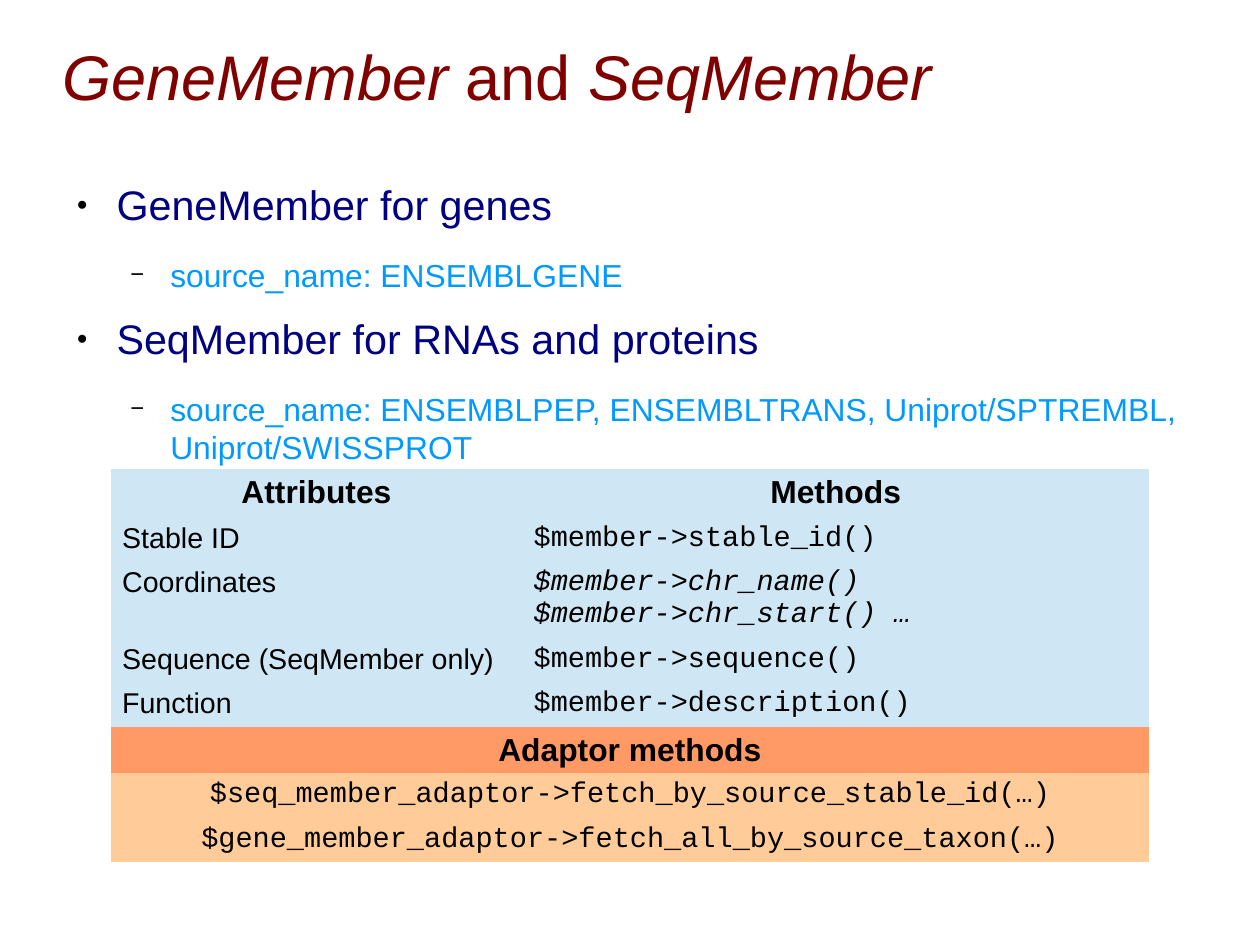
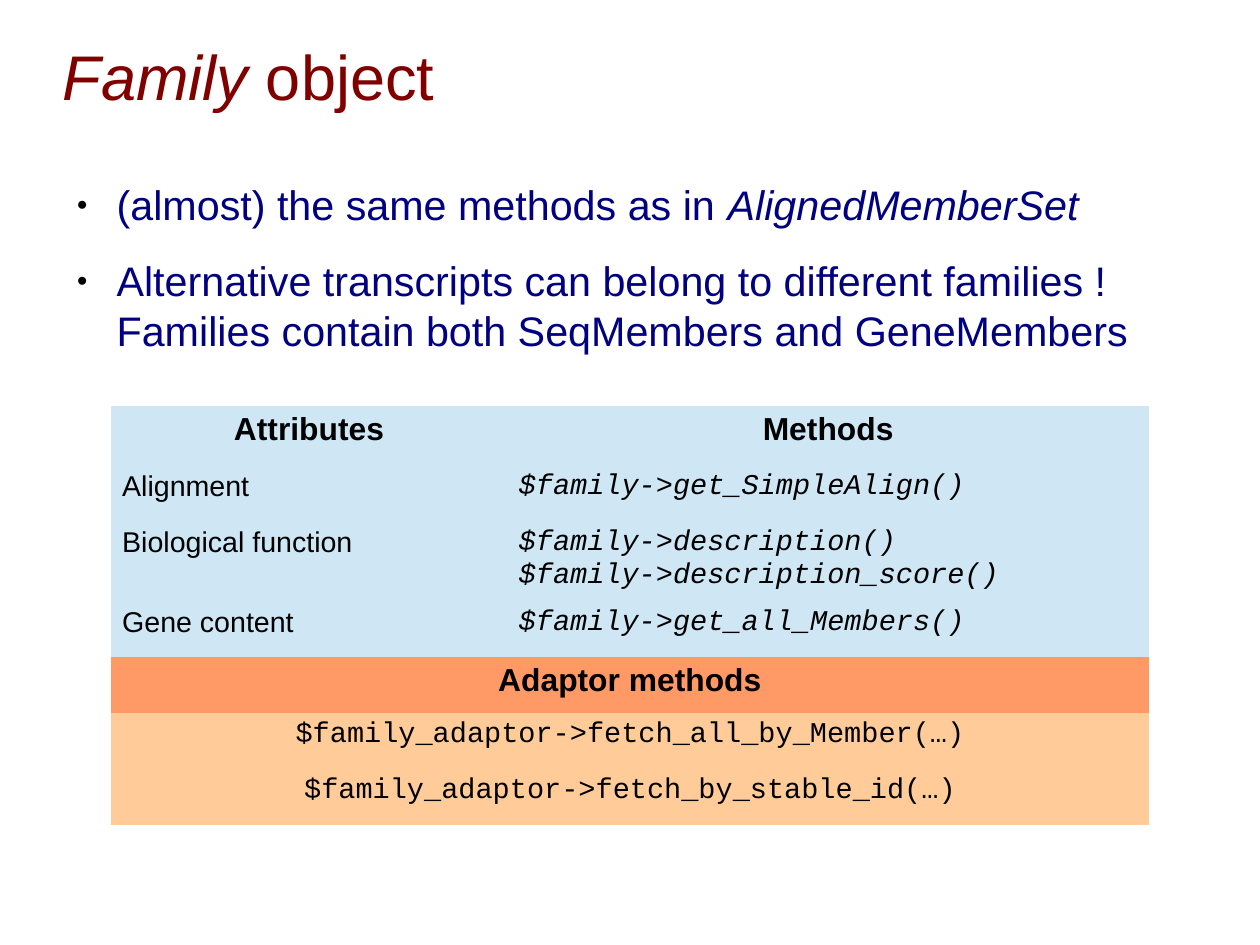
"""Build two slides on the member and family objects, each with bullets and a method table."""
from dataclasses import dataclass

from lxml import etree
from pptx import Presentation
from pptx.dml.color import RGBColor
from pptx.enum.text import MSO_ANCHOR, PP_ALIGN
from pptx.oxml.ns import qn
from pptx.util import Pt

TOP = MSO_ANCHOR.TOP
LEFT, CENTER = PP_ALIGN.LEFT, PP_ALIGN.CENTER

BLACK = RGBColor(0x00, 0x00, 0x00)
MAROON = RGBColor(0x80, 0x00, 0x00)
NAVY = RGBColor(0x00, 0x00, 0x80)
SKY = RGBColor(0x00, 0x99, 0xFF)
PALE_BLUE = RGBColor(0xCF, 0xE7, 0xF5)
ORANGE = RGBColor(0xFF, 0x99, 0x66)
PEACH = RGBColor(0xFF, 0xCC, 0x99)

SANS, MONO = "Arial", "Courier New"
MARGIN = 39.6
TABLE_LEFT = 69.8
NO_STYLE = "{2D5ABB26-0587-4C30-8999-92F81FD0307C}"


@dataclass(frozen=True)
class Span:
    text: str
    italic: bool = False


@dataclass(frozen=True)
class Level:
    size: float
    color: RGBColor
    indent: float
    after: float
    bullet: str
    bullet_pct: int


@dataclass(frozen=True)
class Bullet:
    level: Level
    spans: list[Span]


@dataclass(frozen=True)
class Method:
    attribute: str
    calls: list[Span]


@dataclass(frozen=True)
class MethodTable:
    top: float
    cols: list[float]
    heights: list[float]
    methods: list[Method]
    adaptors: list[str]


@dataclass(frozen=True)
class Topic:
    title: list[Span]
    body_size: tuple[float, float]
    bullets: list[Bullet]
    methods: MethodTable


MAIN = Level(26, NAVY, 33.84, 16.7, "●", 45)
SUB = Level(20, SKY, 67.68, 12.5, "−", 75)
HANGING = 25.2

TOPICS = [
    Topic(
        [Span("GeneMember", True), Span(" and "), Span("SeqMember", True)],
        (753.8, 187.2),
        [
            Bullet(MAIN, [Span("GeneMember for genes")]),
            Bullet(SUB, [Span("source_name: ENSEMBLGENE")]),
            Bullet(MAIN, [Span("SeqMember for RNAs and proteins")]),
            Bullet(SUB, [Span("source_name: ENSEMBLPEP, ENSEMBLTRANS, "
                              "Uniprot/SPTREMBL, Uniprot/SWISSPROT")]),
        ],
        MethodTable(
            295.4, [259.2, 394.9], [30, 28, 48.4, 28, 28, 29.2, 28.2, 28.2],
            [
                Method("Stable ID", [Span("$member->stable_id()")]),
                Method("Coordinates", [Span("$member->chr_name()", True),
                                       Span("$member->chr_start() …", True)]),
                Method("Sequence (SeqMember only)", [Span("$member->sequence()")]),
                Method("Function", [Span("$member->description()")]),
            ],
            ["$seq_member_adaptor->fetch_by_source_stable_id(…)",
             "$gene_member_adaptor->fetch_all_by_source_taxon(…)"],
        ),
    ),
    Topic(
        [Span("Family", True), Span(" object")],
        (725.8, 348.5),
        [
            Bullet(MAIN, [Span("(almost) the same methods as in "),
                          Span("AlignedMemberSet", True)]),
            Bullet(MAIN, [Span("Alternative transcripts can belong to different families !\n"
                               "Families contain both SeqMembers and GeneMembers")]),
        ],
        MethodTable(
            255.6, [249.8, 404.3], [37.4, 35.3, 50.4, 35.3, 35.3, 35.3, 35.3],
            [
                Method("Alignment", [Span("$family->get_SimpleAlign()", True)]),
                Method("Biological function", [Span("$family->description()", True),
                                               Span("$family->description_score()", True)]),
                Method("Gene content", [Span("$family->get_all_Members()", True)]),
            ],
            ["$family_adaptor->fetch_all_by_Member(…)",
             "$family_adaptor->fetch_by_stable_id(…)"],
        ),
    ),
]


def add_span(p, span: Span, size: float, color: RGBColor,
             font: str = SANS, bold: bool = False) -> None:
    for i, line in enumerate(span.text.split("\n")):
        if i:
            p.add_line_break()
        r = p.add_run()
        r.text = line
        r.font.name = font
        r.font.size = Pt(size)
        r.font.color.rgb = color
        r.font.italic = span.italic
        r.font.bold = bold


def add_box(s, top: float, width: float, height: float):
    tf = s.shapes.add_textbox(Pt(MARGIN), Pt(top), Pt(width), Pt(height)).text_frame
    tf.word_wrap = True
    tf.vertical_anchor = TOP
    tf.margin_left = tf.margin_right = tf.margin_top = tf.margin_bottom = 0
    return tf


def add_title(s, spans: list[Span]) -> None:
    p = add_box(s, 23.6, 714.2, 99.4).paragraphs[0]
    for span in spans:
        add_span(p, span, 39.7, MAROON)


def format_bullet(p, level: Level) -> None:
    p.space_after = Pt(level.after)
    pPr = p._p.get_or_add_pPr()
    pPr.set("marL", str(Pt(level.indent)))
    pPr.set("indent", str(-Pt(HANGING)))
    color = etree.SubElement(pPr, qn("a:buClr"))
    etree.SubElement(color, qn("a:srgbClr"), val=str(BLACK))
    etree.SubElement(pPr, qn("a:buSzPct"), val=str(level.bullet_pct * 1000))
    etree.SubElement(pPr, qn("a:buFont"), typeface=SANS)
    etree.SubElement(pPr, qn("a:buChar"), char=level.bullet)


def add_body(s, topic: Topic) -> None:
    tf = add_box(s, 113, *topic.body_size)
    for i, bullet in enumerate(topic.bullets):
        p = tf.add_paragraph() if i else tf.paragraphs[0]
        p.level = 1 if bullet.level is SUB else 0
        format_bullet(p, bullet.level)
        for span in bullet.spans:
            add_span(p, span, bullet.level.size, bullet.level.color)


def fill_cell(cell, lines: list[Span], fill: RGBColor, font: str = SANS,
              align: PP_ALIGN = LEFT, header: bool = False) -> None:
    cell.fill.solid()
    cell.fill.fore_color.rgb = fill
    cell.margin_bottom = Pt(1.2)
    for i, span in enumerate(lines):
        p = cell.text_frame.add_paragraph() if i else cell.text_frame.paragraphs[0]
        p.alignment = align
        add_span(p, span, 20 if header else 18, BLACK, font, header)


def add_method_table(s, layout: MethodTable) -> None:
    heights, cols = layout.heights, layout.cols
    frame = s.shapes.add_table(len(heights), len(cols), Pt(TABLE_LEFT), Pt(layout.top),
                               Pt(sum(cols)), Pt(sum(heights)))
    table = frame.table
    table.first_row = table.horz_banding = False
    table._tbl.tblPr.find(qn("a:tableStyleId")).text = NO_STYLE
    for col, width in zip(table.columns, cols):
        col.width = Pt(width)
    for row, height in zip(table.rows, heights):
        row.height = Pt(height)

    for i, heading in enumerate(["Attributes", "Methods"]):
        fill_cell(table.cell(0, i), [Span(heading)], PALE_BLUE, align=CENTER, header=True)
    for i, method in enumerate(layout.methods, 1):
        fill_cell(table.cell(i, 0), [Span(method.attribute)], PALE_BLUE)
        fill_cell(table.cell(i, 1), method.calls, PALE_BLUE, MONO)

    first = len(layout.methods) + 1
    for i, text in enumerate(["Adaptor methods", *layout.adaptors]):
        cell = table.cell(first + i, 0)
        cell.merge(table.cell(first + i, 1))
        header = i == 0
        fill_cell(cell, [Span(text)], ORANGE if header else PEACH,
                  SANS if header else MONO, CENTER, header)


def main() -> None:
    prs = Presentation()
    prs.slide_width = Pt(793.75)
    prs.slide_height = Pt(595.25)
    for topic in TOPICS:
        s = prs.slides.add_slide(prs.slide_layouts[6])
        add_title(s, topic.title)
        add_body(s, topic)
        add_method_table(s, topic.methods)
    prs.save("out.pptx")


if __name__ == "__main__":
    main()
